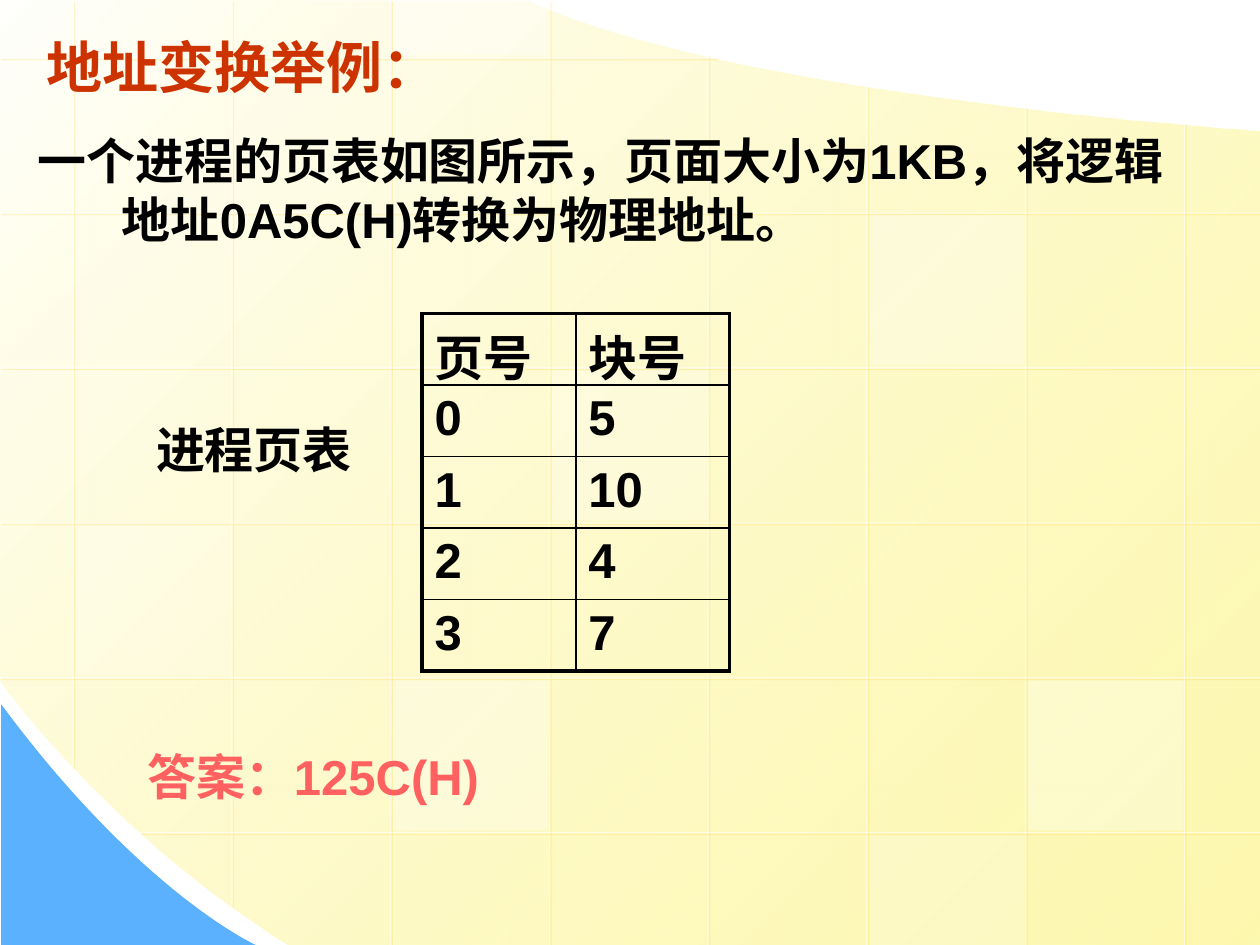
from dataclasses import dataclass

from lxml import etree
from pptx import Presentation
from pptx import util as u
from pptx.dml.color import RGBColor
from pptx.enum import shapes, text
from pptx.oxml import ns

WIDTH, HEIGHT = 10, 7.5
GRID_LEFT, GRID_TOP = 0.58, 0.46
COL, ROW = 1.26, 1.23
GAP = 0.02

WHITE = RGBColor(0xFF, 0xFF, 0xFF)
BLACK = RGBColor(0, 0, 0)
CREAM = RGBColor(0xFF, 0xFF, 0xFB)
YELLOW = RGBColor(0xFD, 0xF5, 0x8D)
GOLD = RGBColor(0xFF, 0xCC, 0x00)
BLUE = RGBColor(0x5C, 0xB1, 0xFE)
RUST = RGBColor(0xCC, 0x33, 0x00)
CORAL = RGBColor(0xFF, 0x61, 0x61)
LATIN, CHINESE = "Arial", "Noto Sans CJK SC"


@dataclass
class Tile:
    """A pale square at a column and row of the background grid."""
    col: int
    row: int
    opacity: int


@dataclass
class Caption:
    """A line of text with its share of the slide."""
    words: str
    left: float
    top: float
    width: float
    height: float
    color: RGBColor = BLACK
    size: int = 28
    font: str = LATIN
    margin: float = 0
    hanging: float = 0
    shadowed: bool = False


TILES = [Tile(3, 2, 25), Tile(6, 4, 30), Tile(0, 3, 20), Tile(5, 5, 20),
         Tile(2, -1, 40), Tile(2, 4, 30), Tile(5, 1, 30)]
COLUMN_ENDS = [(0, 6.09), (0, 7.19), (0, HEIGHT), (0, HEIGHT), (0.43, HEIGHT),
               (0.68, HEIGHT), (0.85, HEIGHT), (0.98, HEIGHT)]
ROW_ENDS = [(0, 5.68)] + [(0, WIDTH)] * 4 + [(1.11, WIDTH)]
PAGE_TABLE = [("页号", "块号"), ("0", "5"), ("1", "10"), ("2", "4"), ("3", "7")]
CAPTIONS = [
    Caption("地址变换举例：", 0.027, 0.028, 0.457, 0.084, RUST, 32, CHINESE),
    Caption("一个进程的页表如图所示，页面大小为1KB，将逻辑地址0A5C(H)转换为物理地址。",
            0.02, 0.132, 0.914, 0.137, margin=0.67, hanging=-0.67),
    Caption("进程页表", 0.114, 0.437, 0.181, 0.076, shadowed=True),
    Caption("答案：125C(H)", 0.02, 0.783, 0.914, 0.075, CORAL, margin=0.87),
]


def add_child(parent, tag: str, **attributes):
    """Append a drawing element with its attributes."""
    return etree.SubElement(parent, ns.qn(tag), {k: str(v) for k, v in attributes.items()})


def set_alpha(parent, percent: int) -> None:
    """Set the opacity of the last colour below an element."""
    add_child(list(parent.iter(ns.qn("a:srgbClr")))[-1], "a:alpha", val=percent * 1000)


def add_shadow(properties, color: RGBColor, opacity: int) -> None:
    """Give a shape or a run a small diagonal shadow."""
    effects = add_child(properties, "a:effectLst")
    shadow = add_child(effects, "a:outerShdw", dist=u.Pt(1.4), dir=45 * 60000, algn="ctr", rotWithShape=0)
    add_child(shadow, "a:srgbClr", val=color)
    set_alpha(shadow, opacity)


def curve(start, near, far, end, steps: int = 40) -> list:
    """Return points along a cubic curve, without its start."""
    weights = [((1 - t) ** 3, 3 * t * (1 - t) ** 2, 3 * t * t * (1 - t), t ** 3)
               for t in (i / steps for i in range(1, steps + 1))]
    return [tuple(sum(w * p[axis] for w, p in zip(ws, (start, near, far, end))) for axis in (0, 1))
            for ws in weights]


def add_outline(slide, points: list):
    """Draw a closed outline through points given in inches."""
    places = [(u.Inches(x), u.Inches(y)) for x, y in points]
    builder = slide.shapes.build_freeform(*places[0], scale=1.0)
    builder.add_line_segments(places[1:], close=True)
    outline = builder.convert_to_shape()
    outline.shadow.inherit = False
    outline.line.fill.background()
    return outline


def add_backdrop(slide) -> None:
    """Draw the yellow sheet and the blue corner."""
    sheet = add_outline(slide, [(10, 1.04), (10, 7.5), (2.3, 7.5)]
                        + curve((2.3, 7.5), (0.86, 6.61), (-0.01, 5.39), (0, 5.39))
                        + [(-0.01, -0.01), (4.21, 0.01)]
                        + curve((4.21, 0.01), (4.21, 0.01), (5.37, 0.69), (10, 1.04)))
    sheet.fill.gradient()
    sheet.fill.gradient_angle = 315
    for stop, color, position in zip(sheet.fill.gradient_stops, (CREAM, YELLOW), (0, 1)):
        stop.color.rgb, stop.position = color, position
    set_alpha(sheet.fill._xPr.find(ns.qn("a:gradFill")), 70)
    corner = add_outline(slide, [(0.01, 5.59), (0.01, 7.5), (2.03, 7.5)]
                         + curve((2.03, 7.5), (2.03, 7.5), (1.12, 7.09), (0.01, 5.59)))
    corner.fill.solid()
    corner.fill.fore_color.rgb = BLUE


def add_rule(slide, x1: float, y1: float, x2: float, y2: float) -> None:
    """Draw one half-clear grid line."""
    rule = slide.shapes.add_connector(shapes.MSO_CONNECTOR.STRAIGHT, *map(u.Inches, (x1, y1, x2, y2)))
    rule.line.color.rgb = WHITE
    rule.line.width = u.Pt(0.75)
    properties = rule._element.spPr
    set_alpha(properties, 50)
    add_shadow(properties, GOLD, 34)


def add_tile(slide, tile: Tile) -> None:
    """Draw one pale square, cut at the slide's edges."""
    left = GRID_LEFT + tile.col * COL + GAP
    top = max(0, GRID_TOP + tile.row * ROW + GAP)
    bottom = min(HEIGHT, GRID_TOP + (tile.row + 1) * ROW - GAP)
    square = slide.shapes.add_shape(shapes.MSO_SHAPE.RECTANGLE,
                                    *map(u.Inches, (left, top, COL - 1.5 * GAP, bottom - top)))
    square.shadow.inherit = False
    square.fill.solid()
    square.fill.fore_color.rgb = WHITE
    set_alpha(square._element.spPr, tile.opacity)
    square.line.fill.background()


def write(paragraph, words: str, size: int, color: RGBColor, font: str = LATIN):
    """Add one bold run to a paragraph."""
    run = paragraph.add_run()
    run.text = words
    run.font.size, run.font.bold, run.font.name = u.Pt(size), True, font
    run.font.color.rgb = color
    return run


def add_caption(slide, caption: Caption) -> None:
    """Draw one text box."""
    box = slide.shapes.add_textbox(u.Inches(caption.left * WIDTH), u.Inches(caption.top * HEIGHT),
                                   u.Inches(caption.width * WIDTH), u.Inches(caption.height * HEIGHT))
    box.text_frame.word_wrap = True
    paragraph = box.text_frame.paragraphs[0]
    layout = paragraph._p.get_or_add_pPr()
    layout.set("marL", str(u.Inches(caption.margin)))
    layout.set("indent", str(u.Inches(caption.hanging)))
    run = write(paragraph, caption.words, caption.size, caption.color, caption.font)
    if caption.shadowed:
        properties = run._r.get_or_add_rPr()
        add_shadow(properties, RUST, 50)
        properties.insert(1, properties[-1])


def add_page_table(slide) -> None:
    """Draw the page table with a heavy frame and thin inner lines."""
    rows, cols = len(PAGE_TABLE), len(PAGE_TABLE[0])
    table = slide.shapes.add_table(rows, cols, *map(u.Inches, (3.35, 2.49, 2.44, 2.83))).table
    table.first_row = table.horz_banding = False
    for r, entries in enumerate(PAGE_TABLE):
        for c, entry in enumerate(entries):
            cell = table.cell(r, c)
            write(cell.text_frame.paragraphs[0], entry, 28, BLACK)
            edges = {"L": c == 0, "R": c == cols - 1, "T": r == 0, "B": r == rows - 1}
            for side, outer in edges.items():
                border = add_child(cell._tc.get_or_add_tcPr(), f"a:ln{side}", w=u.Pt(2.25 if outer else 1))
                add_child(add_child(border, "a:solidFill"), "a:srgbClr", val=BLACK)
            cell.fill.background()


def main() -> None:
    """Build the address translation slide."""
    deck = Presentation()
    deck.slide_width, deck.slide_height = u.Inches(WIDTH), u.Inches(HEIGHT)
    slide = deck.slides.add_slide(deck.slide_layouts[6])
    add_backdrop(slide)
    for col, (top, bottom) in enumerate(COLUMN_ENDS):
        x = GRID_LEFT + col * COL
        add_rule(slide, x, top, x, bottom)
    for row, (left, right) in enumerate(ROW_ENDS):
        y = GRID_TOP + row * ROW
        add_rule(slide, right, y, left, y)
    for tile in TILES:
        add_tile(slide, tile)
    for caption in CAPTIONS:
        add_caption(slide, caption)
    add_page_table(slide)
    deck.save("out.pptx")


if __name__ == "__main__":
    main()
